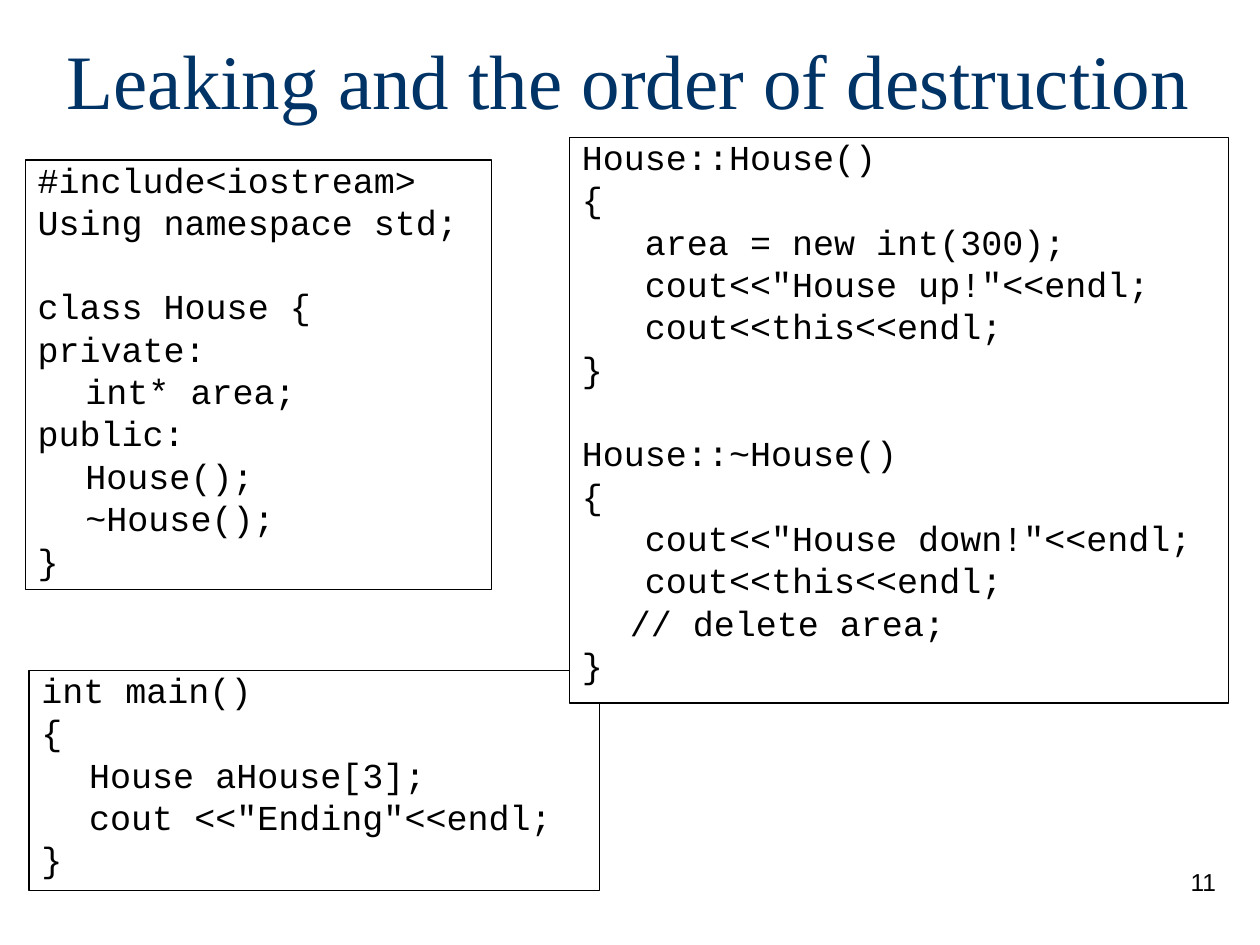
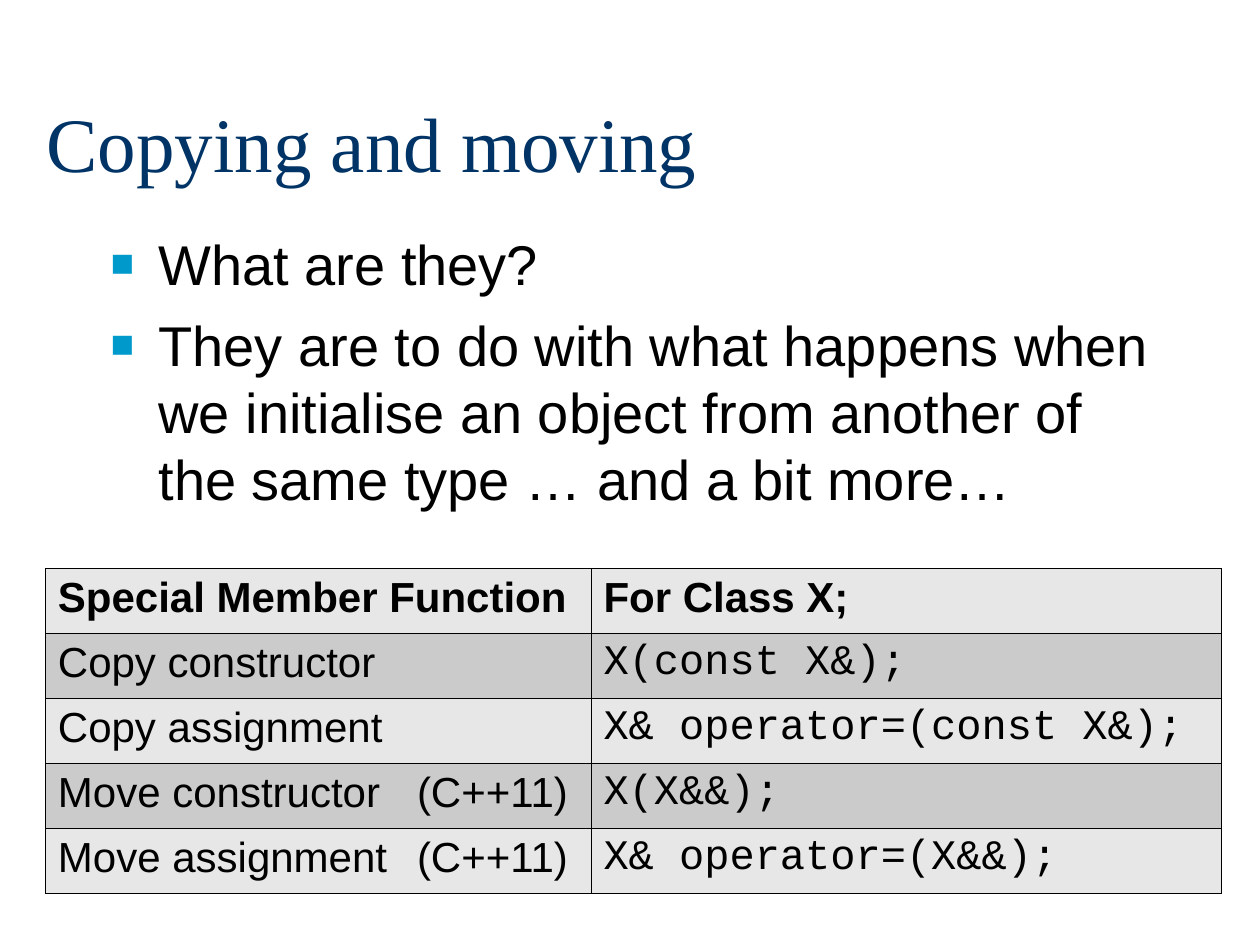
from dataclasses import dataclass

from lxml.etree import SubElement
from pptx import Presentation
from pptx.dml.color import RGBColor
from pptx.enum.shapes import MSO_SHAPE
from pptx.enum.text import MSO_ANCHOR, MSO_AUTO_SIZE, PP_ALIGN
from pptx.oxml.ns import qn
from pptx.util import Emu, Inches, Pt

# Shared look
COLORS = {
    "title": "003366",
    "text": "000000",
    "bullet": "0099CC",
    "paper": "FFFFFF",
    "light_row": "E7E7E7",
    "dark_row": "CBCBCB",
}
TITLE_FONT = {"name": "Times New Roman", "size": Pt(44)}
CODE_FONT = {"name": "Courier New", "size": Pt(20)}
BULLET_FONT = {"name": "Arial", "size": Pt(32)}
NUMBER_FONT = {"name": "Arial", "size": Pt(14)}
CELL_FONT = {"name": "Arial", "size": Pt(24)}
CELL_CODE_FONT = CELL_FONT | {"name": "Courier New"}
HEADER_FONT = CELL_FONT | {"bold": True}
FRAME = {"word_wrap": True, "auto_size": MSO_AUTO_SIZE.NONE}

# Grid of 100 columns by 75 rows
SLIDE_WIDTH, SLIDE_HEIGHT = Inches(10), Inches(7.5)
COLUMN, ROW = SLIDE_WIDTH / 100, SLIDE_HEIGHT / 75
HANGING = Inches(0.38)
CODE_GAP, BLANK_LINE = 5, 24


@dataclass(frozen=True)
class Area:
    column: float
    row: float
    columns: float
    rows: float

    def box(self) -> tuple:
        return (Emu(round(self.column * COLUMN)), Emu(round(self.row * ROW)),
                Emu(round(self.columns * COLUMN)), Emu(round(self.rows * ROW)))


@dataclass(frozen=True)
class CodeBox:
    area: Area
    code: str
    filled: bool = False


NUMBER_AREA = Area(76.7, 68.3, 20.8, 5)

CODE_BOXES = [
    CodeBox(Area(2.3, 53.2, 45.3, 17.5), """int main()
{
\tHouse aHouse[3];
\tcout <<"Ending"<<endl;
}"""),
    CodeBox(Area(2, 12.7, 37, 34.1), """#include<iostream>
Using namespace std;

class House {
private:
\tint* area;
public:
\tHouse();
\t~House();
}"""),
    CodeBox(Area(45.2, 10.9, 52.3, 44.9), """House::House()
{
   area = new int(300);
   cout<<"House up!"<<endl;
   cout<<this<<endl;
}

House::~House()
{
   cout<<"House down!"<<endl;
   cout<<this<<endl;
\t// delete area;
}""", filled=True),
]

BULLETS = [
    "What are they?",
    "They are to do with what happens when we initialise an object "
    "from another of the same type … and a bit more…",
]

FUNCTION_ROWS = [
    ("Special Member Function", "For Class X;"),
    ("Copy constructor", "X(const X&);"),
    ("Copy assignment", "X& operator=(const X&);"),
    ("Move constructor\t(C++11)", "X(X&&);"),
    ("Move assignment\t(C++11)", "X& operator=(X&&);"),
]


def set_all(target, values: dict) -> None:
    for name, value in values.items():
        setattr(target, name, value)


def color(name: str) -> RGBColor:
    return RGBColor.from_string(COLORS[name])


def write(paragraph, text: str, font: dict, color_name: str = "text") -> None:
    run = paragraph.add_run()
    run.text = text
    set_all(run.font, font)
    run.font.color.rgb = color(color_name)


def next_paragraph(frame, index: int):
    return frame.add_paragraph() if index else frame.paragraphs[0]


def hang(paragraph) -> None:
    properties = paragraph._p.get_or_add_pPr()
    properties.set("marL", str(HANGING))
    properties.set("indent", str(-HANGING))


def add_tab(paragraph, position: int) -> None:
    tabs = SubElement(paragraph._p.get_or_add_pPr(), qn("a:tabLst"))
    SubElement(tabs, qn("a:tab"), pos=str(position), algn="l")


def add_bullet(paragraph) -> None:
    properties = paragraph._p.get_or_add_pPr()
    bullet_color = SubElement(properties, qn("a:buClr"))
    SubElement(bullet_color, qn("a:srgbClr"), val=COLORS["bullet"])
    SubElement(properties, qn("a:buSzPct"), val="70000")
    SubElement(properties, qn("a:buFont"), typeface="Arial")
    SubElement(properties, qn("a:buChar"), char="■")


def add_titled_slide(presentation, title: str, area: Area):
    slide = presentation.slides.add_slide(presentation.slide_layouts[5])
    shape = slide.shapes.title
    set_all(shape, dict(zip(("left", "top", "width", "height"), area.box())))
    frame = shape.text_frame
    set_all(frame, FRAME | {"vertical_anchor": MSO_ANCHOR.MIDDLE})
    frame.paragraphs[0].alignment = PP_ALIGN.LEFT
    write(frame.paragraphs[0], title, TITLE_FONT, "title")
    return slide


def add_code_box(slide, code_box: CodeBox) -> None:
    shape = slide.shapes.add_shape(MSO_SHAPE.RECTANGLE, *code_box.area.box())
    shape.shadow.inherit = False
    if code_box.filled:
        shape.fill.solid()
        shape.fill.fore_color.rgb = color("paper")
    else:
        shape.fill.background()
    shape.line.color.rgb = color("text")
    shape.line.width = Pt(0.75)
    frame = shape.text_frame
    set_all(frame, FRAME | {"vertical_anchor": MSO_ANCHOR.TOP})
    gap = 0
    for index, line in enumerate(code_box.code.split("\n")):
        if not line:  # a blank code line widens the next gap
            gap += BLANK_LINE
            continue
        paragraph = next_paragraph(frame, index)
        hang(paragraph)
        set_all(paragraph, {"alignment": PP_ALIGN.LEFT, "line_spacing": 0.8,
                            "space_before": Pt(gap)})
        add_tab(paragraph, 0)
        write(paragraph, line, CODE_FONT)
        gap = CODE_GAP


def add_number(slide, number: int) -> None:
    frame = slide.shapes.add_textbox(*NUMBER_AREA.box()).text_frame
    set_all(frame, FRAME)
    frame.paragraphs[0].alignment = PP_ALIGN.RIGHT
    write(frame.paragraphs[0], str(number), NUMBER_FONT)


def add_bullets(slide, area: Area, bullets: list[str]) -> None:
    frame = slide.shapes.add_textbox(*area.box()).text_frame
    set_all(frame, FRAME)
    for index, text in enumerate(bullets):
        paragraph = next_paragraph(frame, index)
        hang(paragraph)
        paragraph.space_before = Pt(8 if index else 0)
        add_bullet(paragraph)
        write(paragraph, text, BULLET_FONT)


def add_borders(cell) -> None:
    properties = cell._tc.get_or_add_tcPr()
    for side in ("lnL", "lnR", "lnT", "lnB"):
        line = SubElement(properties, qn(f"a:{side}"), w=str(Pt(0.45)))
        fill = SubElement(line, qn("a:solidFill"))
        SubElement(fill, qn("a:srgbClr"), val=COLORS["text"])


def add_function_table(slide, area: Area, rows: list[tuple[str, str]]) -> None:
    table = slide.shapes.add_table(len(rows), 2, *area.box()).table
    set_all(table, {"first_row": False, "horz_banding": False})
    for column, columns in zip(table.columns, (43.3, 50)):
        column.width = Emu(round(columns * COLUMN))
    for row_index, texts in enumerate(rows):
        for column_index, text in enumerate(texts):
            cell = table.cell(row_index, column_index)
            add_borders(cell)
            cell.fill.solid()
            cell.fill.fore_color.rgb = color(
                "dark_row" if row_index % 2 else "light_row")
            paragraph = cell.text_frame.paragraphs[0]
            if "\t" in text:
                add_tab(paragraph, Inches(2.85))
            body_font = CELL_CODE_FONT if column_index else CELL_FONT
            write(paragraph, text, body_font if row_index else HEADER_FONT)


def main() -> None:
    presentation = Presentation()
    set_all(presentation, {"slide_width": SLIDE_WIDTH,
                           "slide_height": SLIDE_HEIGHT})

    # Leaking and destruction order
    slide = add_titled_slide(presentation, "Leaking and the order of destruction",
                             Area(4.3, 0, 92.9, 12.5))
    for code_box in CODE_BOXES:
        add_code_box(slide, code_box)
    add_number(slide, 11)

    # Copying and moving
    slide = add_titled_slide(presentation, "Copying and moving",
                             Area(2.7, 5, 95.1, 12.5))
    add_bullets(slide, Area(7.8, 17.7, 85, 24.6), BULLETS)
    add_function_table(slide, Area(3.6, 45.1, 93.3, 25.8), FUNCTION_ROWS)

    presentation.save("out.pptx")


if __name__ == "__main__":
    main()
